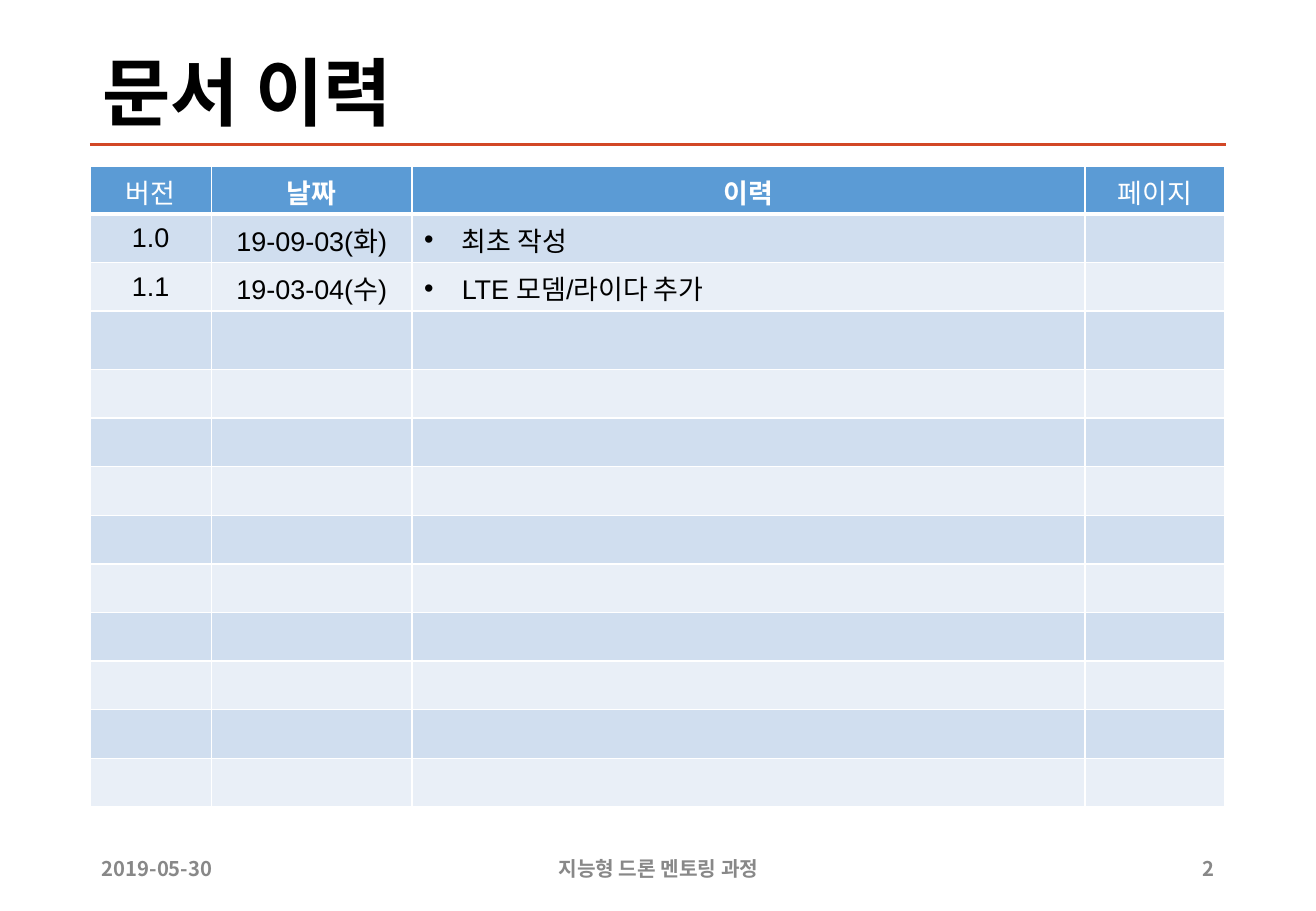
from dataclasses import dataclass

from lxml import etree
from pptx import Presentation
from pptx.dml.color import RGBColor
from pptx.enum.shapes import MSO_CONNECTOR
from pptx.enum.text import MSO_ANCHOR, PP_ALIGN
from pptx.oxml.ns import qn
from pptx.util import Inches, Pt

LEFT, CENTER, RIGHT = PP_ALIGN.LEFT, PP_ALIGN.CENTER, PP_ALIGN.RIGHT
MIDDLE = MSO_ANCHOR.MIDDLE
STRAIGHT = MSO_CONNECTOR.STRAIGHT

COLORS = {
    "rule": "D24726",
    "text": "000000",
    "footer": "888888",
    "white": "FFFFFF",
    "header": "5B9BD5",
    "odd": "D0DEEF",
    "even": "E9EFF7",
}
KOREAN_FONT = "Noto Sans CJK KR"

FRAME_FORMAT = {
    "word_wrap": True,
    "vertical_anchor": MIDDLE,
    "margin_left": Inches(0.1),
    "margin_right": Inches(0.1),
    "margin_top": Inches(0.05),
    "margin_bottom": Inches(0.05),
}
TITLE_FONT = {"name": "Times New Roman", "size": Pt(44), "bold": True}
FOOTER_FONT = {"name": KOREAN_FONT, "size": Pt(12), "bold": True}
CELL_FONT = {"name": "Arial", "size": Pt(16), "bold": False}

MARGIN_LEFT, CONTENT_WIDTH = 0.74, 9.34


@dataclass
class FooterItem:
    text: str
    left: float
    width: float
    alignment: PP_ALIGN


@dataclass
class Column:
    heading: str
    width: float
    bold: bool = False
    bulleted: bool = False


FOOTER_ITEMS = [
    FooterItem("2019-05-30", MARGIN_LEFT, 1.27, LEFT),
    FooterItem("지능형 드론 멘토링 과정", 3.59, 3.66, CENTER),
    FooterItem("2", 9.56, 0.53, RIGHT),
]
COLUMNS = [
    Column("버전", 1.0),
    Column("날짜", 1.65, bold=True),
    Column("이력", 5.54, bold=True, bulleted=True),
    Column("페이지", 1.15),
]
HISTORY = [
    ["1.0", "19-09-03(화)", "최초 작성", ""],
    ["1.1", "19-03-04(수)", "LTE 모뎀/라이다 추가", ""],
]
ROW_COUNT, ROW_HEIGHT = 13, 0.39
TALL_ROW, TALL_ROW_HEIGHT = 3, 0.48


def apply_format(target: object, values: dict) -> None:
    for name, value in values.items():
        setattr(target, name, value)


def write_text(frame, text: str, font: dict, color: str, alignment: PP_ALIGN):
    """Write one formatted line and return its paragraph."""
    paragraph = frame.paragraphs[0]
    paragraph.alignment = alignment
    run = paragraph.add_run()
    run.text = text
    run.font.color.rgb = RGBColor.from_string(COLORS[color])
    apply_format(run.font, font)
    east_asian = etree.SubElement(run.font._element, qn("a:ea"))
    east_asian.set("typeface", KOREAN_FONT)
    return paragraph


def add_bullet(paragraph) -> None:
    properties = paragraph._p.get_or_add_pPr()
    properties.set("marL", str(Inches(0.31)))
    properties.set("indent", str(-Inches(0.31)))
    bullet_font = etree.SubElement(properties, qn("a:buFont"))
    bullet_font.set("typeface", "Arial")
    etree.SubElement(properties, qn("a:buChar")).set("char", "•")


def set_borders(cell, bottom_width: float) -> None:
    properties = cell._tc.get_or_add_tcPr()
    widths = {"a:lnL": 1, "a:lnR": 1, "a:lnT": 1, "a:lnB": bottom_width}
    for position, (tag, width) in enumerate(widths.items()):
        line = etree.Element(qn(tag), w=str(Pt(width)))
        fill = etree.SubElement(line, qn("a:solidFill"))
        etree.SubElement(fill, qn("a:srgbClr")).set("val", COLORS["white"])
        properties.insert(position, line)


def add_title(slide) -> None:
    title = slide.shapes.title
    apply_format(title, {
        "left": Inches(MARGIN_LEFT), "top": Inches(0.4),
        "width": Inches(CONTENT_WIDTH), "height": Inches(0.79),
    })
    apply_format(title.text_frame, FRAME_FORMAT)
    paragraph = write_text(title.text_frame, "문서 이력", TITLE_FONT, "text", LEFT)
    paragraph.line_spacing = 0.9


def add_rule(slide) -> None:
    rule = slide.shapes.add_connector(
        STRAIGHT, Inches(MARGIN_LEFT), Inches(1.19), Inches(10.09), Inches(1.19))
    rule.line.color.rgb = RGBColor.from_string(COLORS["rule"])
    rule.line.width = Pt(2)
    etree.SubElement(rule._element.spPr, qn("a:effectLst"))


def add_footer_item(slide, item: FooterItem) -> None:
    box = slide.shapes.add_textbox(
        Inches(item.left), Inches(6.95), Inches(item.width), Inches(0.4))
    apply_format(box.text_frame, FRAME_FORMAT)
    write_text(box.text_frame, item.text, FOOTER_FONT, "footer", item.alignment)


def fill_cell(cell, row_index: int, column: Column, text: str) -> None:
    is_header = row_index == 0
    band = "header" if is_header else "odd" if row_index % 2 else "even"
    cell.fill.solid()
    cell.fill.fore_color.rgb = RGBColor.from_string(COLORS[band])
    cell.vertical_anchor = MIDDLE
    set_borders(cell, 3 if is_header else 1)
    if not text:
        return
    bulleted = column.bulleted and not is_header
    font = {**CELL_FONT, "bold": is_header and column.bold}
    paragraph = write_text(cell.text_frame, text, font,
                           "white" if is_header else "text",
                           LEFT if bulleted else CENTER)
    if bulleted:
        add_bullet(paragraph)


def add_history_table(slide) -> None:
    table = slide.shapes.add_table(
        ROW_COUNT, len(COLUMNS), Inches(MARGIN_LEFT), Inches(1.37),
        Inches(CONTENT_WIDTH), Inches(ROW_HEIGHT * ROW_COUNT)).table
    for table_column, column in zip(table.columns, COLUMNS):
        table_column.width = Inches(column.width)
    contents = [[column.heading for column in COLUMNS], *HISTORY]
    contents += [[""] * len(COLUMNS)] * (ROW_COUNT - len(contents))
    for row_index, (row, texts) in enumerate(zip(table.rows, contents)):
        row.height = Inches(TALL_ROW_HEIGHT if row_index == TALL_ROW else ROW_HEIGHT)
        for cell, column, text in zip(row.cells, COLUMNS, texts):
            fill_cell(cell, row_index, column, text)


def main() -> None:
    presentation = Presentation()
    presentation.slide_width = Inches(10.83)
    presentation.slide_height = Inches(7.5)
    slide = presentation.slides.add_slide(presentation.slide_layouts[5])

    # Heading
    add_rule(slide)
    add_title(slide)

    # Footer
    for item in FOOTER_ITEMS:
        add_footer_item(slide, item)

    # Version history
    add_history_table(slide)
    presentation.save("out.pptx")


if __name__ == "__main__":
    main()
